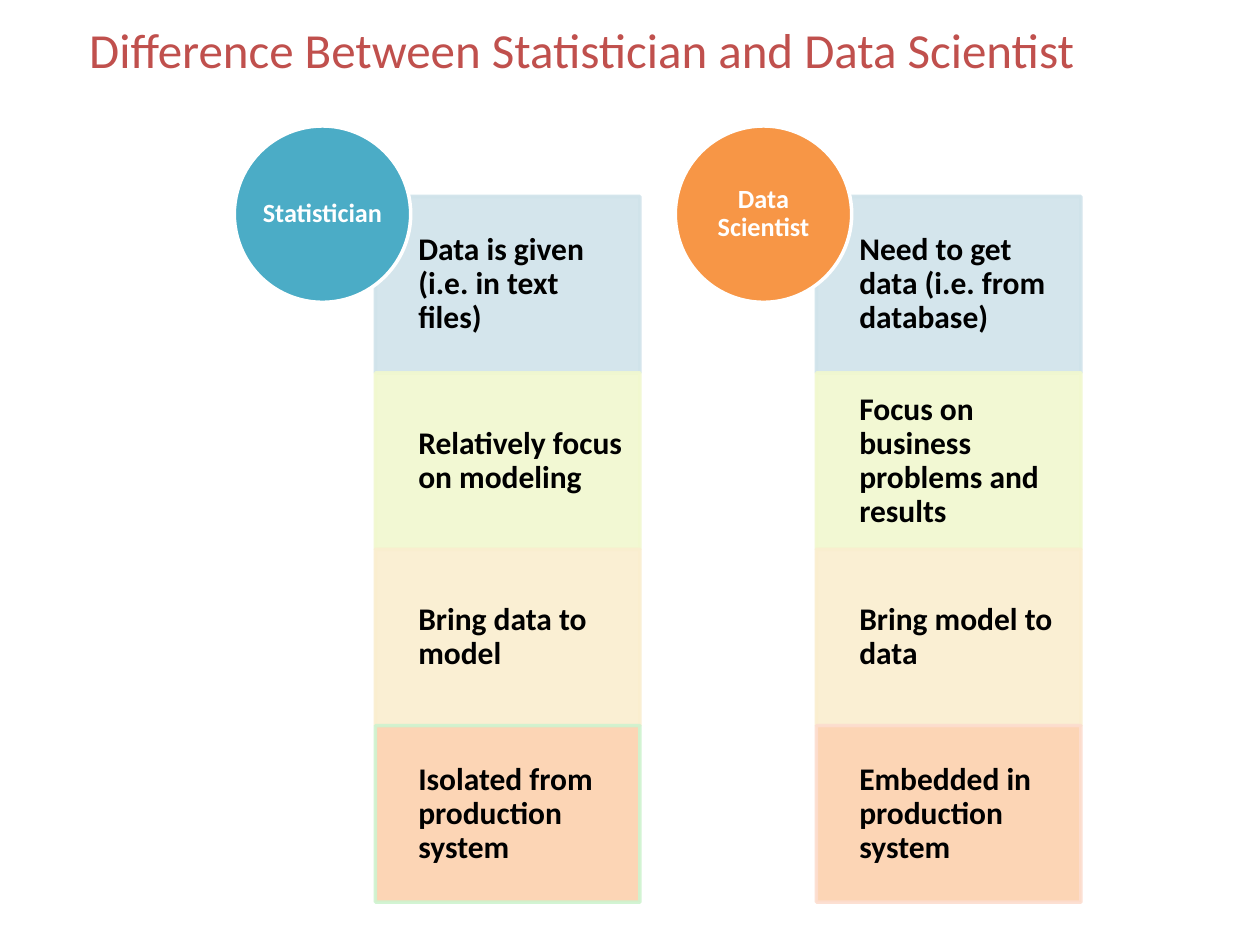
"""Build a slide that contrasts a statistician with a data scientist."""
from lxml import etree
from pptx import Presentation
from pptx import util as u
from pptx.dml import color
from pptx.enum import shapes, text
from pptx.oxml import ns

COLORS = {
    "title": "C0504D", "black": "000000", "white": "FFFFFF",
    "teal": "4BACC6", "orange": "F79646",
    "blue": "D0E3EA", "lime": "F1F8CF", "cream": "FAEECF",
    "peach": "FCD5B5", "mint": "CEF3CF", "rose": "FCDDCF",
}
ROW_FILLS = ["blue", "lime", "cream", "peach"]
COLUMNS = [
    ("Statistician", "teal", "mint", [
        "Data is given (i.e. in text files)", "Relatively focus on modeling",
        "Bring data to model", "Isolated from production system"]),
    ("Data Scientist", "orange", "rose", [
        "Need to get data (i.e. from database)",
        "Focus on business problems and results",
        "Bring model to data", "Embedded in production system"]),
]
FIRST_LEFT, COLUMN_STEP = 1.86, 3.5
CIRCLE_TOP, CIRCLE_SIZE = 1, 1.4
BOX_OFFSET, BOX_TOP, BOX_WIDTH, BOX_HEIGHT = 1.12, 1.56, 2.1, 1.4


def rgb(name):
    return color.RGBColor.from_string(COLORS[name])


def set_color(fill, name, opacity=100):
    fill.solid()
    fill.fore_color.rgb = rgb(name)
    if opacity < 100:
        element = fill._xPr.find(ns.qn("a:solidFill"))[0]
        alpha = etree.SubElement(element, ns.qn("a:alpha"))
        alpha.set("val", str(opacity * 1000))


def write(shape, words, size, color_name, margins, bold=True, align=text.PP_ALIGN.LEFT, spacing=0.9):
    frame = shape.text_frame
    frame.word_wrap = True
    frame.vertical_anchor = text.MSO_ANCHOR.MIDDLE
    frame.margin_left, frame.margin_top, frame.margin_right, frame.margin_bottom = map(u.Inches, margins)
    paragraph = frame.paragraphs[0]
    paragraph.alignment = align
    paragraph.line_spacing = spacing
    run = paragraph.add_run()
    run.text = words
    run.font.name = "Calibri"
    run.font.size = u.Pt(size)
    run.font.bold = bold
    run.font.color.rgb = rgb(color_name)


def add_panel(slide, kind, place, fill, line, fill_opacity=100, line_opacity=100):
    shape = slide.shapes.add_shape(kind, *map(u.Inches, place))
    shape.shadow.inherit = False
    set_color(shape.fill, fill, fill_opacity)
    set_color(shape.line.fill, line, line_opacity)
    shape.line.width = u.Pt(2)
    return shape


def add_title(slide, words):
    title = slide.shapes.add_textbox(*map(u.Inches, (0.61, 0.02, 9.22, 0.73)))
    write(title, words, 28, "title", (0.1, 0.05, 0.1, 0.05), bold=False, spacing=1.0)


def add_column(slide, left, heading, circle_fill, last_line, statements):
    for row, (statement, fill) in enumerate(zip(statements, ROW_FILLS)):
        is_last = row == len(statements) - 1
        place = (left + BOX_OFFSET, BOX_TOP + row * BOX_HEIGHT, BOX_WIDTH, BOX_HEIGHT)
        box = add_panel(slide, shapes.MSO_SHAPE.RECTANGLE, place, fill,
                        last_line if is_last else fill, 100 if is_last else 90, 90)
        write(box, statement, 18, "black", (0.34, 0.14, 0.12, 0.14))
    circle = add_panel(slide, shapes.MSO_SHAPE.OVAL,
                       (left, CIRCLE_TOP, CIRCLE_SIZE, CIRCLE_SIZE), circle_fill, "white")
    write(circle, heading, 15, "white", (0, 0, 0, 0), align=text.PP_ALIGN.CENTER)


def main():
    presentation = Presentation()
    presentation.slide_width, presentation.slide_height = u.Inches(10), u.Inches(7.5)
    slide = presentation.slides.add_slide(presentation.slide_layouts[6])
    for index, column in enumerate(COLUMNS):
        add_column(slide, FIRST_LEFT + index * COLUMN_STEP, *column)
    add_title(slide, "Difference Between Statistician and Data Scientist")
    presentation.save("out.pptx")


main()
